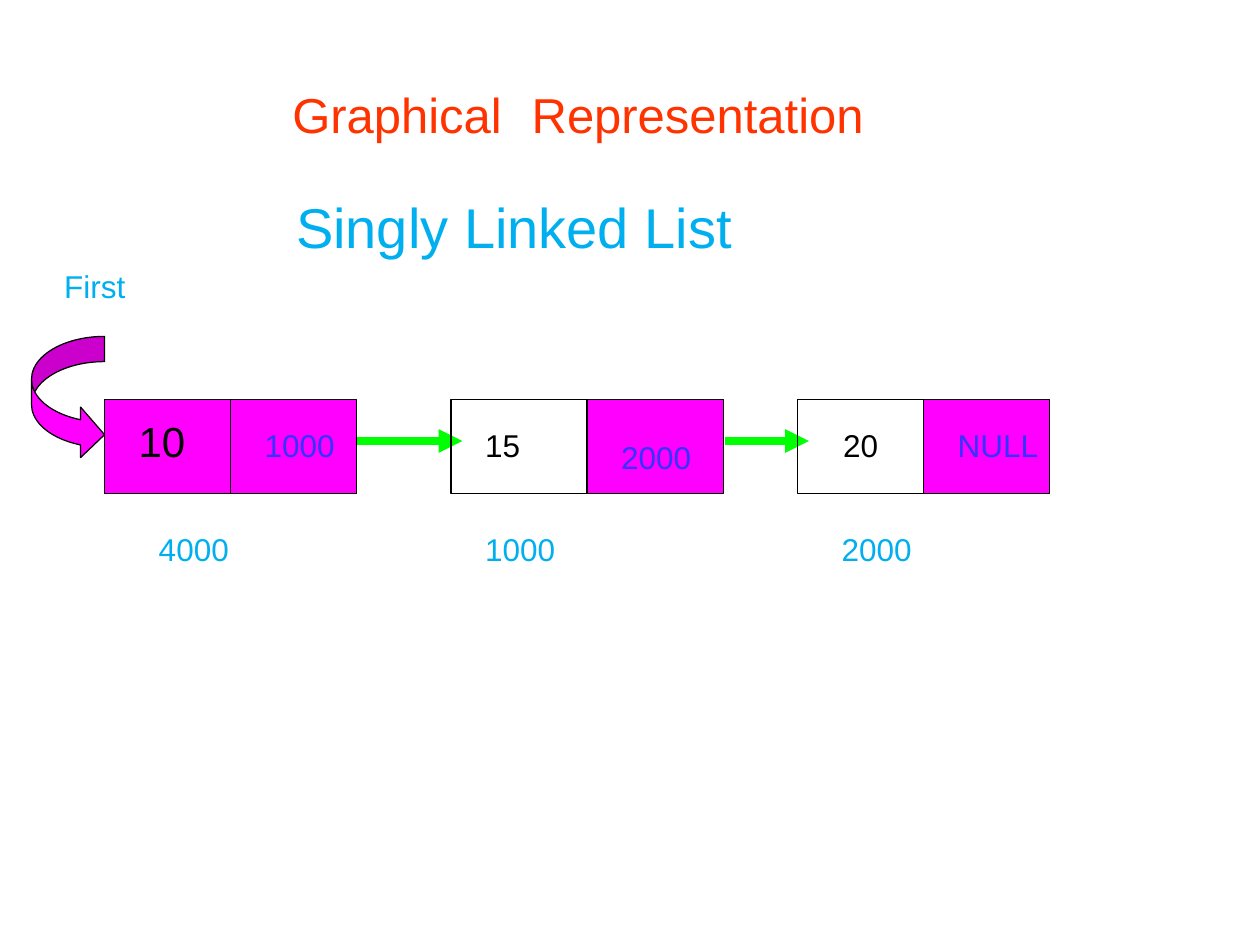
from dataclasses import dataclass

from lxml.etree import SubElement
from pptx import Presentation
from pptx.dml.color import RGBColor
from pptx.enum.shapes import MSO_CONNECTOR, MSO_SHAPE
from pptx.enum.text import MSO_ANCHOR, MSO_AUTO_SIZE, PP_ALIGN
from pptx.oxml.ns import qn
from pptx.util import Inches, Pt


@dataclass(frozen=True)
class Theme:
    font: str = "Arial"
    title_size: int = 28
    subtitle_size: int = 32
    large_size: int = 24
    body_size: int = 18
    title: str = "FF3300"
    label: str = "00AFEF"
    ink: str = "000000"
    address: str = "3333FF"
    cell: str = "FF00FF"
    link: str = "00FF00"
    outline_width: float = 0.72
    link_width: float = 4.5


class ListDiagram:
    def __init__(self, slide, theme):
        self.slide = slide
        self.theme = theme

    def set_text(self, shape, text, size, color, left=0.01, top=0.01, align=PP_ALIGN.LEFT):
        """Set one line of text, placed by the frame's left and top insets."""
        frame = shape.text_frame
        frame.word_wrap = True
        frame.auto_size = MSO_AUTO_SIZE.NONE
        frame.vertical_anchor = MSO_ANCHOR.TOP
        frame.margin_left, frame.margin_top = Inches(left), Inches(top)
        frame.margin_right = frame.margin_bottom = 0
        paragraph = frame.paragraphs[0]
        paragraph.alignment = align
        run = paragraph.add_run()
        run.text = text
        run.font.name = self.theme.font
        run.font.size = Pt(size)
        run.font.color.rgb = RGBColor.from_string(color)
        return paragraph

    def title(self, text, x, y, width, height, tab):
        heading = self.slide.shapes.title
        heading.left, heading.top = Inches(x), Inches(y)
        heading.width, heading.height = Inches(width), Inches(height)
        paragraph = self.set_text(heading, text, self.theme.title_size, self.theme.title)
        stops = SubElement(paragraph._p.get_or_add_pPr(), qn("a:tabLst"))
        SubElement(stops, qn("a:tab"), pos=str(Inches(tab)), algn="l")

    def label(self, text, x, y, width, height=0.33, size=None):
        box = self.slide.shapes.add_textbox(
            Inches(x), Inches(y), Inches(width), Inches(height))
        self.set_text(box, text, size or self.theme.body_size, self.theme.label)

    def outlined(self, preset, x, y, width, height, fill):
        shape = self.slide.shapes.add_shape(
            preset, Inches(x), Inches(y), Inches(width), Inches(height))
        shape.shadow.inherit = False
        if fill:
            shape.fill.solid()
            shape.fill.fore_color.rgb = RGBColor.from_string(fill)
        else:
            shape.fill.background()
        shape.line.color.rgb = RGBColor.from_string(self.theme.ink)
        shape.line.width = Pt(self.theme.outline_width)
        return shape

    def cell(self, text, x, y, width, height, fill, color, **text_style):
        style = {"size": self.theme.body_size, "left": 0.27, "top": 0.21, **text_style}
        shape = self.outlined(MSO_SHAPE.RECTANGLE, x, y, width, height, fill)
        self.set_text(shape, text, color=color, **style)

    def link(self, x1, x2, y):
        arrow = self.slide.shapes.add_connector(
            MSO_CONNECTOR.STRAIGHT, Inches(x1), Inches(y), Inches(x2), Inches(y))
        arrow.line.color.rgb = RGBColor.from_string(self.theme.link)
        arrow.line.width = Pt(self.theme.link_width)
        SubElement(arrow.line._get_or_add_ln(), qn("a:tailEnd"), type="triangle")
        SubElement(arrow._element.spPr, qn("a:effectLst"))

    def head_pointer(self, x, y, width, height):
        arrow = self.outlined(
            MSO_SHAPE.CURVED_RIGHT_ARROW, x, y, width, height, self.theme.cell)
        shaft, head_width, head_length = 0.2, 0.4, 0.19
        for index, length in enumerate((shaft, head_width, head_length)):
            arrow.adjustments[index] = length / width


def main():
    presentation = Presentation()
    presentation.slide_width, presentation.slide_height = Inches(10), Inches(7.5)
    theme = Theme()
    slide = presentation.slides.add_slide(presentation.slide_layouts[5])
    diagram = ListDiagram(slide, theme)

    diagram.title("Graphical\tRepresentation", 2.31, 0.66, 4.55, 0.49, tab=1.9)
    diagram.label("Singly Linked List", 2.34, 1.52, 3.48, 0.56, theme.subtitle_size)
    diagram.label("First", 0.5, 2.11, 0.51)

    for start, end in ((2.83, 3.67), (5.75, 6.42)):
        diagram.link(start, end, 3.5)

    # x, cell width, value, value fill and style, next address and style, own address and x
    nodes = [
        (0.83, 1, "10", theme.cell, {"size": theme.large_size, "top": 0.13},
         "1000", {}, "4000", 1.25),
        (3.58, 1.08, "15", None, {}, "2000", {"top": 0.31}, "1000", 3.84),
        (6.33, 1, "20", None, {"left": 0, "align": PP_ALIGN.CENTER},
         "NULL", {}, "2000", 6.67),
    ]
    top, height = 3.17, 0.75
    for x, width, value, fill, value_style, following, next_style, address, address_x in nodes:
        diagram.cell(value, x, top, width, height, fill, theme.ink, **value_style)
        diagram.cell(following, x + width, top, width, height, theme.cell,
                     theme.address, **next_style)
        diagram.label(address, address_x, 4.2, 0.58)

    diagram.head_pointer(0.25, 2.67, 0.58, 0.98)
    presentation.save("out.pptx")


if __name__ == "__main__":
    main()
